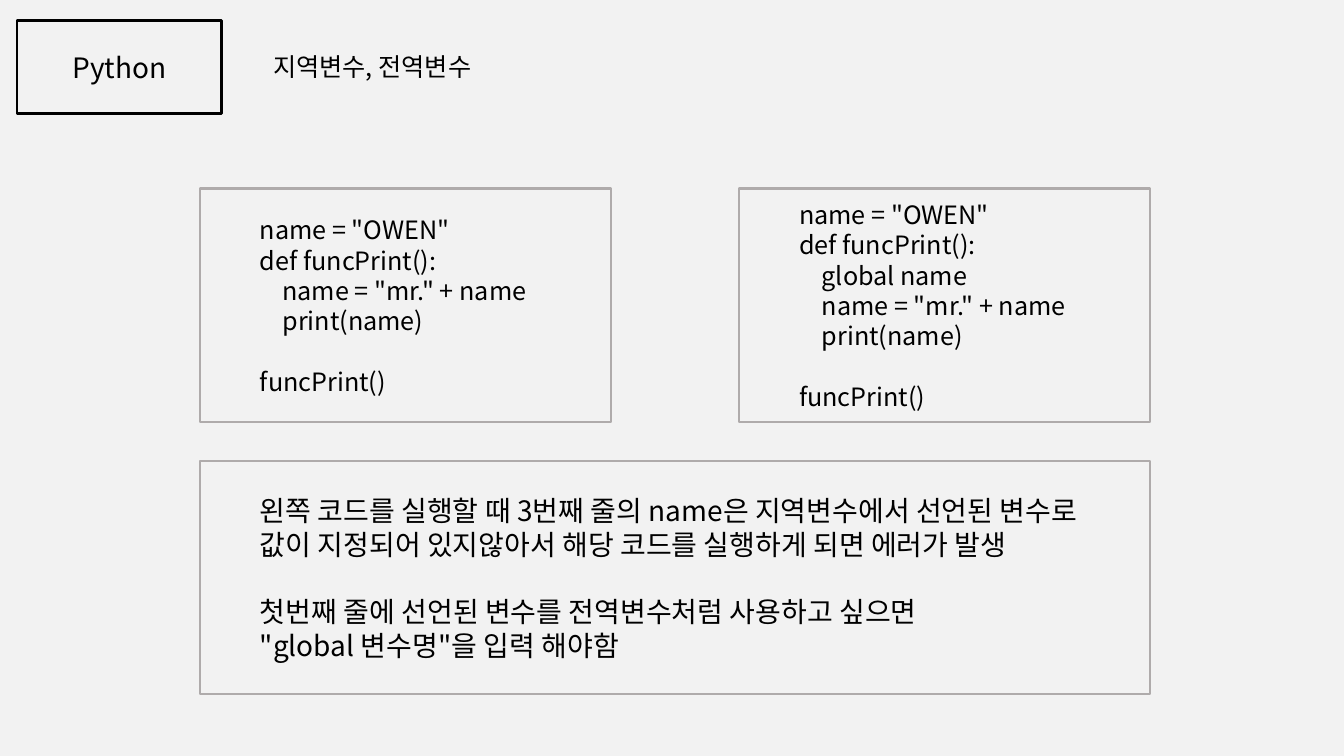
"""Build a slide that explains local and global variables in Python."""
from lxml import etree
from pptx import Presentation
from pptx.dml.color import RGBColor
from pptx.enum import shapes, text
from pptx.oxml import ns
from pptx.util import Cm, Pt

TITLE = "지역변수, 전역변수"
TAG = "Python"
LOCAL_CODE = [
    ['name = "OWEN"', "def funcPrint():", '    name = "mr." + name', "    print(name)"],
    ["funcPrint()"],
]
GLOBAL_CODE = [
    ['name = "OWEN"', "def funcPrint():", "    global name",
     '    name = "mr." + name', "    print(name)"],
    ["funcPrint()"],
]
NOTES = [
    ["왼쪽 코드를 실행할 때 3번째 줄의 name은 지역변수에서 선언된 변수로",
     "값이 지정되어 있지않아서 해당 코드를 실행하게 되면 에러가 발생"],
    ["첫번째 줄에 선언된 변수를 전역변수처럼 사용하고 싶으면",
     '"global 변수명"을 입력 해야함'],
]

FONT = "Noto Sans CJK KR"
BLACK = RGBColor(0x00, 0x00, 0x00)
GRAY = RGBColor(0xAF, 0xAB, 0xAB)
PAPER = RGBColor(0xF2, 0xF2, 0xF2)

LEFT, TOP = Cm(5.03), Cm(4.75)
CODE_W, PANEL_H = Cm(10.36), Cm(5.89)
GAP_X, GAP_Y = Cm(3.23), Cm(0.97)
LINE_HEIGHT = 1.2


def write(tf, groups, size=18, level=0, align=text.PP_ALIGN.LEFT,
          anchor=text.MSO_ANCHOR.MIDDLE):
    """Fill a text frame with groups of lines, one empty line's height apart."""
    tf.word_wrap = True
    tf.auto_size = text.MSO_AUTO_SIZE.NONE
    tf.vertical_anchor = anchor
    p = None
    for g, lines in enumerate(groups):
        for i, line in enumerate(lines):
            p = tf.add_paragraph() if p is not None else tf.paragraphs[0]
            p.level, p.alignment, p.line_spacing = level, align, 1.0
            p.space_before = Pt(size * LINE_HEIGHT if g and not i else 0)
            r = p.add_run()
            r.text = line
            r.font.size, r.font.name = Pt(size), FONT
            r.font.color.rgb = BLACK
            rpr = r.font._element
            rpr.find(ns.qn("a:latin")).addnext(
                etree.Element(ns.qn("a:ea"), typeface=FONT))
            ln = etree.Element(ns.qn("a:ln"), w=str(Pt(0.75)))
            fill = etree.SubElement(ln, ns.qn("a:solidFill"))
            color = etree.SubElement(fill, ns.qn("a:srgbClr"), val=str(BLACK))
            etree.SubElement(color, ns.qn("a:alpha"), val="30000")
            rpr.insert(0, ln)


def add_panel(s, box, groups, color=GRAY, width=1.5, **fmt):
    """Add an outlined rectangle holding text."""
    sp = s.shapes.add_shape(shapes.MSO_SHAPE.RECTANGLE, *box)
    sp.shadow.inherit = False
    sp.fill.background()
    sp.line.color.rgb, sp.line.width = color, Pt(width)
    write(sp.text_frame, groups, **fmt)


def main():
    """Lay out the slide and save it."""
    prs = Presentation()
    prs.slide_width, prs.slide_height = Cm(33.87), Cm(19.05)
    s = prs.slides.add_slide(prs.slide_layouts[5])
    s.background.fill.solid()
    s.background.fill.fore_color.rgb = PAPER

    title = s.shapes.title
    title.left, title.top, title.width, title.height = Cm(6.63), Cm(1.17), Cm(9.25), Cm(1.02)
    write(title.text_frame, [[TITLE]], anchor=text.MSO_ANCHOR.TOP)
    add_panel(s, (Cm(0.43), Cm(0.51), Cm(5.16), Cm(2.36)), [[TAG]], color=BLACK,
              width=2, size=20, align=text.PP_ALIGN.CENTER)

    for i, code in enumerate((LOCAL_CODE, GLOBAL_CODE)):
        add_panel(s, (LEFT + i * (CODE_W + GAP_X), TOP, CODE_W, PANEL_H), code, level=1)
    add_panel(s, (LEFT, TOP + PANEL_H + GAP_Y, 2 * CODE_W + GAP_X, PANEL_H), NOTES,
              size=20, level=1)
    prs.save("out.pptx")


if __name__ == "__main__":
    main()
